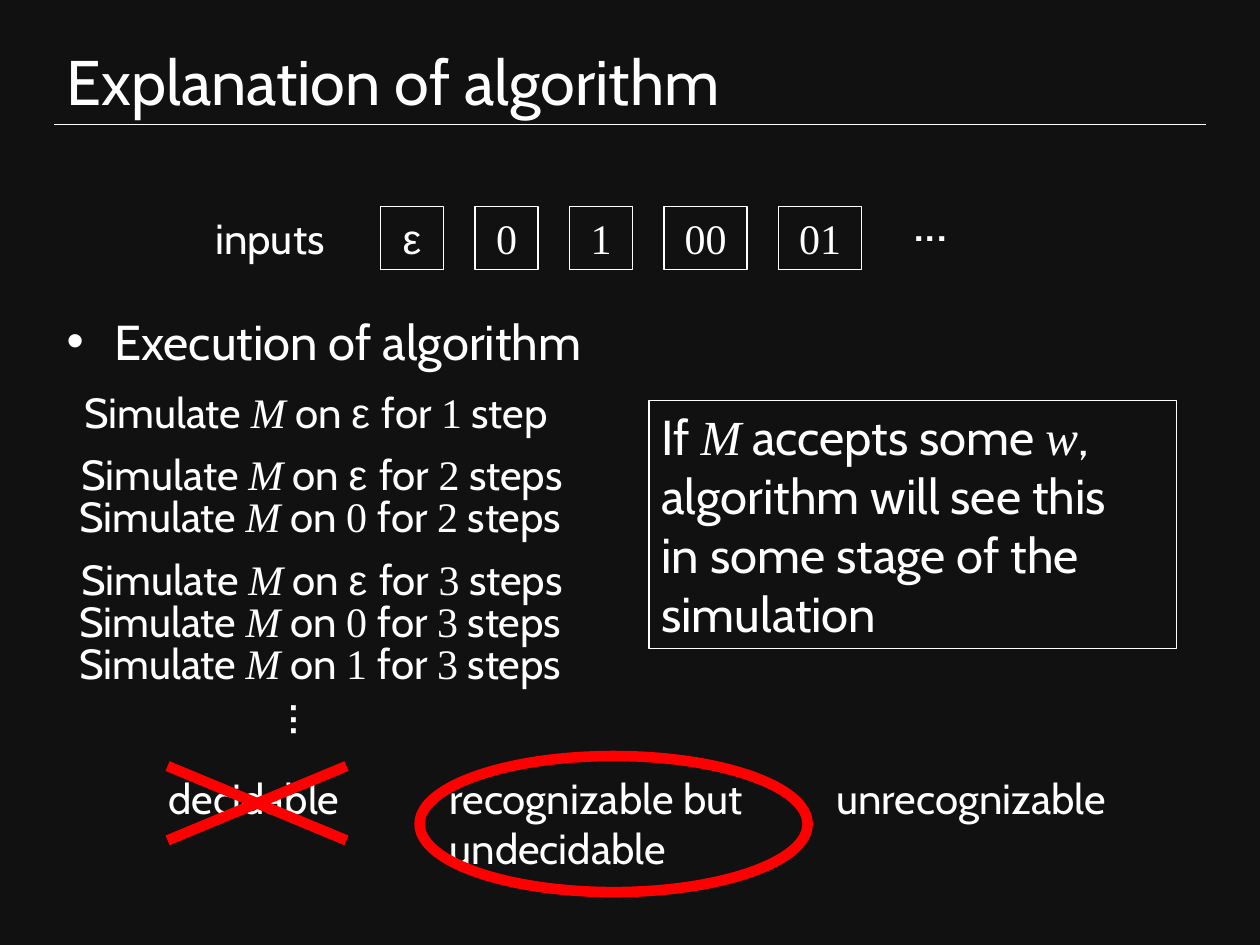
"""Build a slide that explains a simulation algorithm step by step."""
from lxml import etree
from pptx import Presentation
from pptx import util as u
from pptx.dml.color import RGBColor
from pptx.enum import shapes, text
from pptx.oxml.ns import qn

WHITE, RED, DARK = "FFFFFF", "FF0000", "111111"
SANS = {"name": "Cabin", "italic": False}
SERIF = {"name": "Times New Roman", "italic": False}
GREEK = {"name": "Arial", "italic": False}
MATH = {"name": "Times New Roman", "italic": True}


def color(value):
    """Turn a hex string into a colour."""
    return RGBColor.from_string(value)


def apply_format(target, values):
    """Set each attribute named in values on target."""
    for name, value in values.items():
        setattr(target, name, value)


def write(shape, lines, size, align=text.PP_ALIGN.LEFT, anchor=text.MSO_ANCHOR.TOP):
    """Fill a shape with lines, each a list of (words, font style) pairs."""
    frame = shape.text_frame
    apply_format(frame, {"word_wrap": True, "vertical_anchor": anchor})
    for index, line in enumerate(lines):
        para = frame.add_paragraph() if index else frame.paragraphs[0]
        para.alignment = align
        for words, style in line:
            span = para.add_run()
            span.text = words
            apply_format(span.font, {"size": u.Pt(size), **style})
            span.font.color.rgb = color(WHITE)


def add_text(page, area, lines, size, **layout):
    """Add a text box."""
    box = page.shapes.add_textbox(*map(u.Inches, area))
    write(box, lines, size, **layout)
    return box


def add_outline(page, kind, area, line_color, width):
    """Add an unfilled preset shape."""
    shape = page.shapes.add_shape(kind, *map(u.Inches, area))
    shape.shadow.inherit = False
    shape.fill.background()
    shape.line.color.rgb = color(line_color)
    shape.line.width = u.Pt(width)
    return shape


def add_line(page, start, end, line_color, width):
    """Add a straight line without a shadow."""
    line = page.shapes.add_connector(
        shapes.MSO_CONNECTOR.STRAIGHT, *map(u.Inches, (*start, *end)))
    line.line.color.rgb = color(line_color)
    line.line.width = u.Pt(width)
    etree.SubElement(line._element.spPr, qn("a:effectLst"))


def add_bullet(box, indent):
    """Give the first paragraph of a box a hanging round bullet."""
    props = box.text_frame.paragraphs[0]._p.get_or_add_pPr()
    props.set("marL", str(u.Inches(indent)))
    props.set("indent", str(-u.Inches(indent)))
    etree.SubElement(props, qn("a:buFont")).set("typeface", "Arial")
    etree.SubElement(props, qn("a:buChar")).set("char", "•")


def add_inputs(page):
    """Add the row of boxed input strings."""
    add_text(page, (1.61, 1.64, 1.18, 0.5), [[("inputs", SANS)]], 24)
    left, gap = 3.02, 0.25
    for word in ("ε", "0", "1", "00", "01"):
        width = 0.5 if len(word) == 1 else 0.66
        cell = add_outline(page, shapes.MSO_SHAPE.RECTANGLE,
                           (left, 1.64, width, 0.5), WHITE, 0.75)
        style = GREEK if word == "ε" else SERIF
        write(cell, [[(word, style)]], 24, align=text.PP_ALIGN.CENTER)
        left += width + gap
    add_text(page, (7.15, 1.42, 0.56, 0.64), [[("...", SANS)]], 32)


def add_simulations(page):
    """Add the simulation steps, stage by stage."""
    for stage, top in enumerate((3.02, 3.51, 4.34), 1):
        for row, word in enumerate(("ε", "0", "1")[:stage]):
            left = 0.53 if row else 0.57 if stage == 1 else 0.55
            line = [("Simulate ", SANS), ("M", MATH), (" on ", SANS),
                    (word + " ", SERIF if row else GREEK), ("for ", SANS),
                    (str(stage), SERIF),
                    (" step" if stage == 1 else " steps", SANS)]
            add_text(page, (left, top + 0.335 * row, 4.54, 0.5), [line], 24)
    dots = add_text(page, (2.21, 5.44, 0.56, 0.64), [[("...", SANS)]], 32)
    dots.rotation = 90


def add_remark(page):
    """Add the framed remark."""
    frame = add_outline(page, shapes.MSO_SHAPE.RECTANGLE,
                        (5.15, 3.18, 4.19, 1.97), WHITE, 0.75)
    lines = [[("If ", SANS), ("M", MATH), (" accepts some ", SANS),
              ("w", MATH), (",", SANS)]]
    lines += [[(words, SANS)] for words in (
        "algorithm will see this", "in some stage of the", "simulation")]
    write(frame, lines, 28)


def add_verdicts(page):
    """Add the three verdicts, crossing one out and circling another."""
    for left, width, lines in ((1.24, 1.71, ["decidable"]),
                               (3.47, 2.82, ["recognizable but", "undecidable"]),
                               (6.54, 2.62, ["unrecognizable"])):
        add_text(page, (left, 6.08, width, 0.1 + 0.4 * len(lines)),
                 [[(words, SANS)] for words in lines], 24)
    left, right, top, bottom = 1.33, 2.75, 6.08, 6.67
    add_line(page, (left, top), (right, bottom), RED, 6)
    add_line(page, (right, top), (left, bottom), RED, 6)
    add_outline(page, shapes.MSO_SHAPE.OVAL, (3.33, 6, 3.08, 1.08), RED, 6)


def main():
    """Build and save the deck."""
    deck = Presentation()
    apply_format(deck, {"slide_width": u.Inches(10), "slide_height": u.Inches(7.5)})
    page = deck.slides.add_slide(deck.slide_layouts[6])
    page.background.fill.solid()
    page.background.fill.fore_color.rgb = color(DARK)
    add_line(page, (0.43, 0.99), (9.57, 0.99), WHITE, 0.75)
    add_text(page, (0.43, 0.28, 9.14, 0.72), [[("Explanation of algorithm", SANS)]],
             36, anchor=text.MSO_ANCHOR.MIDDLE)
    heading = add_text(page, (0.43, 2.42, 9.14, 0.75),
                       [[("Execution of algorithm", SANS)]], 28)
    add_bullet(heading, 0.38)
    add_inputs(page)
    add_simulations(page)
    add_remark(page)
    add_verdicts(page)
    deck.save("out.pptx")


if __name__ == "__main__":
    main()
